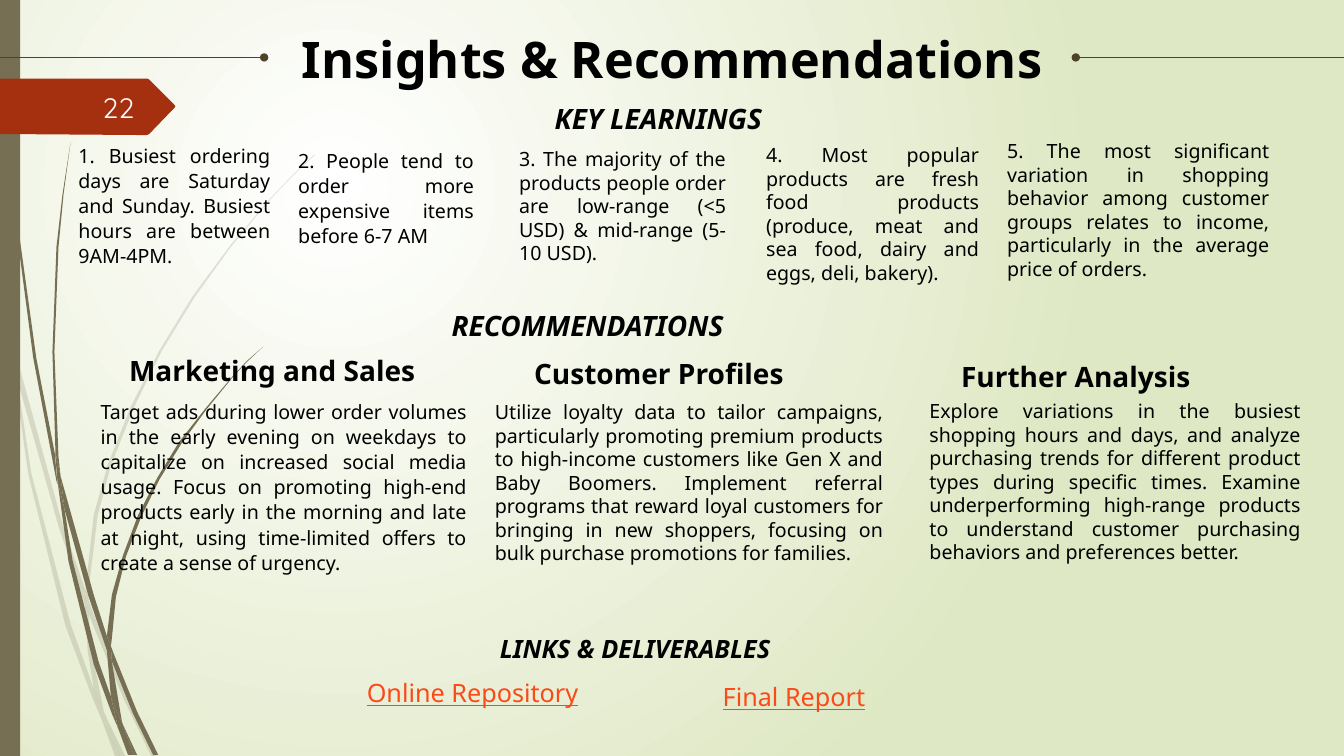
from lxml import etree
from pptx import Presentation
from pptx import util as u
from pptx.dml.color import RGBColor
from pptx.enum import shapes, text
from pptx.oxml import ns

OLIVE = RGBColor(0x76, 0x6F, 0x54)
RUST = RGBColor(0xA5, 0x30, 0x10)
BROWN = RGBColor(0x50, 0x42, 0x28)
BLACK = RGBColor(0, 0, 0)
NEAR_WHITE = RGBColor(0xFE, 0xFF, 0xFF)
WHITE = RGBColor(0xFF, 0xFF, 0xFF)
PALE_GREEN = RGBColor(0xDF, 0xE8, 0xC4)
ORANGE = RGBColor(0xFB, 0x4A, 0x18)

LEFT, CENTER, RIGHT, JUSTIFY = (text.PP_ALIGN.LEFT, text.PP_ALIGN.CENTER,
                                text.PP_ALIGN.RIGHT, text.PP_ALIGN.JUSTIFY)

PALE_GRASS = [
    [(.11, 3.5), (.09, 3.22), (0, 2.82), (0, 2.99), (.1, 3.44)],
    [(.58, 5.22), (.84, 5.99), (.85, 5.86), (.62, 5.2), (.14, 3.45), (.17, 3.76)],
    [(.92, 6.07), (.88, 5.96), (.88, 6.1), (1.23, 6.94), (1.5, 7.5), (1.55, 7.5), (1.27, 6.92)],
    [(1.19, 7.5), (1.24, 7.5), (1.05, 7.11)],
    [(.93, 6.83), (.7, 6.19), (.31, 4.69), (.17, 3.76), (.11, 3.5), (.28, 4.7),
     (.65, 6.21), (.92, 6.93), (1.01, 7.14), (.99, 7.07)],
    [(.84, 5.99), (.87, 6.46), (.93, 6.83), (.96, 6.92), (1.05, 7.11), (1.03, 7.06),
     (.91, 6.46), (.88, 6.1), (.88, 6.08)],
    [(.88, 5.84), (.97, 5.11), (1.1, 4.62), (1.33, 4.04), (1.6, 3.49), (1.93, 2.95),
     (2.29, 2.45), (2.68, 1.98), (2.9, 1.75), (3.12, 1.54), (3.12, 1.53), (2.89, 1.75),
     (2.68, 1.97), (2.28, 2.44), (1.91, 2.94), (1.58, 3.48), (1.3, 4.03), (1.07, 4.61),
     (.93, 5.11), (.85, 5.84), (.85, 5.86), (.88, 5.96)],
    [(1.01, 7.14), (1.14, 7.5), (1.19, 7.5)],
    [(.88, 6.08), (.88, 6.1), (.88, 5.96), (.85, 5.86), (.84, 5.99)],
    [(.96, 6.92), (.93, 6.83), (.99, 7.07), (1.01, 7.14), (1.19, 7.5), (1.05, 7.11)],
]

DARK_GRASS = [
    [(.07, 1.1), (.17, 2.33), (.33, 3.55), (.56, 4.77), (.57, 4.81), (.55, 4.57),
     (.55, 4.53), (.36, 3.55), (.19, 2.32), (.08, 1.09), (.05, .48), (.04, 0),
     (.03, 0), (.04, .48)],
    [(.88, 5.92), (1.06, 6.45), (1.06, 6.33), (1.06, 6.31), (.93, 5.9), (.6, 4.72), (.64, 5.05)],
    [(1.13, 6.49), (1.1, 6.41), (1.11, 6.56), (1.32, 7.08), (1.52, 7.49), (1.57, 7.49), (1.36, 7.06)],
    [(1.1, 6.91), (.98, 6.57), (.72, 5.56), (.64, 5.05), (.57, 4.77), (.68, 5.57),
     (.93, 6.59), (1.11, 7.08), (1.17, 7.22), (1.16, 7.17)],
    [(.6, 4.72), (.58, 4.53), (.54, 3.49), (.58, 2.45), (.63, 1.93), (.7, 1.41),
     (.62, 1.93), (.56, 2.45), (.52, 3.49), (.55, 4.49)],
    [(1.33, 7.49), (1.36, 7.49), (1.22, 7.19)],
    [(.57, 4.77), (.64, 5.05), (.6, 4.72), (.55, 4.49), (.55, 4.53)],
    [(1.11, 6.33), (1.15, 5.92), (1.25, 5.52), (1.4, 5.13), (1.58, 4.76), (1.8, 4.4),
     (2.05, 4.06), (2.31, 3.74), (2.45, 3.59), (2.61, 3.44), (2.45, 3.58), (2.31, 3.73),
     (2.04, 4.05), (1.78, 4.38), (1.56, 4.74), (1.37, 5.11), (1.22, 5.51), (1.11, 5.9),
     (1.06, 6.31), (1.1, 6.41)],
    [(1.17, 7.22), (1.27, 7.49), (1.31, 7.49)],
    [(1.06, 6.45), (1.1, 6.91), (1.16, 7.06), (1.22, 7.19), (1.21, 7.16), (1.11, 6.56), (1.09, 6.51)],
    [(1.06, 6.45), (1.09, 6.51), (1.11, 6.56), (1.1, 6.41), (1.06, 6.31), (1.06, 6.33)],
    [(1.16, 7.06), (1.1, 6.91), (1.16, 7.17), (1.17, 7.22), (1.3, 7.49), (1.33, 7.49), (1.22, 7.19)],
]

PAGE_FLAG = [(1.74, 1.06), (1.48, 1.33), (1.46, 1.34), (1.36, 1.34), (0, 1.33),
             (0, .78), (1.46, .78), (1.48, .79), (1.73, 1.04)]

AIRY = dict(spacing=1.07, after=8)

PARAGRAPHS = [
    ((.68, 1.36, 2.1, 1.34), AIRY,
     "1. Busiest ordering days are Saturday and Sunday. Busiest hours are between 9AM-4PM."),
    ((2.86, 1.41, 1.94, 1.09), AIRY,
     "2. People tend to order more expensive items before 6-7 AM"),
    ((5.05, 1.41, 2.25, 1.28), {},
     "3. The majority of the products people order are low-range (<5 USD) & mid-range (5-10 USD)."),
    ((7.5, 1.37, 2.31, 1.51), {},
     "4. Most popular products are fresh food products (produce, meat and sea food, dairy and eggs, "
     "deli, bakery)."),
    ((9.89, 1.33, 2.8, 1.51), {},
     "5. The most significant variation in shopping behavior among customer groups relates to income, "
     "particularly in the average price of orders."),
    ((.9, 3.9, 3.83, 2.46), AIRY,
     "Target ads during lower order volumes in the early evening on weekdays to capitalize on increased "
     "social media usage. Focus on promoting high-end products early in the morning and late at night, "
     "using time-limited offers to create a sense of urgency."),
    ((4.81, 3.92, 4.05, 2.22), {},
     "Utilize loyalty data to tailor campaigns, particularly promoting premium products to high-income "
     "customers like Gen X and Baby Boomers. Implement referral programs that reward loyal customers for "
     "bringing in new shoppers, focusing on bulk purchase promotions for families."),
    ((9.12, 3.91, 3.88, 2.22), {},
     "Explore variations in the busiest shopping hours and days, and analyze purchasing trends for "
     "different product types during specific times. Examine underperforming high-range products to "
     "understand customer purchasing behaviors and preferences better."),
]

SECTIONS = [
    ("KEY LEARNINGS", (3.19, .96, 6.68, .44), 20, CENTER),
    ("RECOMMENDATIONS", (4.38, 3.01, 6.68, .44), 20, LEFT),
    ("LINKS & DELIVERABLES", (4.86, 6.23, 3.32, .4), 18, LEFT),
]

TOPICS = [
    ("Marketing and Sales", (.8, 3.51, 3.8, .34)),
    ("Customer Profiles", (4.68, 3.54, 3.71, .34)),
    ("Further Analysis", (9.17, 3.57, 3, .34)),
]

DELIVERABLES = [
    ("Online Repository", (3.54, 6.67, 2.64, .4)),
    ("Final Report", (7.07, 6.71, 1.97, .4)),
]


def write(holder, words, size=14, color=BLACK, font="Noto Sans", bold=False, italic=False,
          underline=False, align=LEFT, anchor=text.MSO_ANCHOR.TOP, inset=None,
          spacing=None, after=None, grow=True):
    frame = holder.text_frame
    frame.word_wrap = True
    frame.auto_size = text.MSO_AUTO_SIZE.SHAPE_TO_FIT_TEXT if grow else text.MSO_AUTO_SIZE.NONE
    frame.vertical_anchor = anchor
    if inset is not None:
        frame.margin_left = frame.margin_right = u.Inches(inset)
        frame.margin_top = frame.margin_bottom = u.Inches(inset)
    paragraph = frame.paragraphs[0]
    paragraph.alignment = align
    if spacing:
        paragraph.line_spacing = spacing
    if after:
        paragraph.space_after = u.Pt(after)
    run = paragraph.add_run()
    run.text = words
    run.font.size, run.font.name = u.Pt(size), font
    run.font.bold, run.font.italic, run.font.underline = bold, italic, underline
    run.font.color.rgb = color


class InsightsSlide:
    def __init__(self, deck):
        self.slide = deck.slides.add_slide(deck.slide_layouts[5])
        self.shapes = self.slide.shapes

    def backdrop(self, center, edge):
        fill = self.slide.background.fill
        fill.gradient()
        for stop, color, position in zip(fill.gradient_stops, (center, edge), (0, 1)):
            stop.color.rgb = color
            stop.position = position
        linear = self.slide.element.xpath(".//a:gradFill/a:lin")[0]
        circle = etree.Element(ns.qn("a:path"), path="circle")
        etree.SubElement(circle, ns.qn("a:fillToRect"), l="50000", t="50000", r="100000", b="100000")
        linear.getparent().replace(linear, circle)

    def paint(self, shape, color, opacity=100):
        shape.shadow.inherit = False
        shape.fill.solid()
        shape.fill.fore_color.rgb = color
        shape.line.fill.background()
        if opacity < 100:
            rgb = shape.element.xpath("./p:spPr/a:solidFill/a:srgbClr")[0]
            etree.SubElement(rgb, ns.qn("a:alpha"), val=str(opacity * 1000))

    def outline(self, points, color, opacity=100, parent=None):
        corners = [(u.Inches(x), u.Inches(y)) for x, y in points]
        builder = (parent or self.shapes).build_freeform(*corners[0])
        builder.add_line_segments(corners[1:], close=True)
        self.paint(builder.convert_to_shape(), color, opacity)

    def grass(self, blades, opacity=100):
        tuft = self.shapes.add_group_shape().shapes
        for blade in blades:
            self.outline(blade, OLIVE, opacity, tuft)

    def bar(self, box, color):
        self.paint(self.shapes.add_shape(shapes.MSO_SHAPE.RECTANGLE, *map(u.Inches, box)), color)

    def rule(self, start, end, y, dot):
        rule = self.shapes.add_connector(shapes.MSO_CONNECTOR.STRAIGHT, u.Inches(start), u.Inches(y),
                                         u.Inches(end), u.Inches(y))
        rule.line.color.rgb = BROWN
        rule.line.width = u.Pt(.75)
        etree.SubElement(rule.line._get_or_add_ln(), ns.qn(dot), type="oval")
        etree.SubElement(rule.element.spPr, ns.qn("a:effectLst"))

    def title(self, words, box, **style):
        title = self.shapes.title
        title.left, title.top, title.width, title.height = map(u.Inches, box)
        write(title, words, **style)

    def label(self, words, box, **style):
        write(self.shapes.add_textbox(*map(u.Inches, box)), words, **style)


def main():
    deck = Presentation()
    deck.slide_width, deck.slide_height = u.Inches(13.33), u.Inches(7.5)
    page = InsightsSlide(deck)
    page.backdrop(WHITE, PALE_GREEN)
    page.grass(PALE_GRASS, opacity=20)
    page.grass(DARK_GRASS)
    page.bar((0, 0, .2, 7.5), OLIVE)
    page.outline(PAGE_FLAG, RUST)
    page.rule(10.67, 13.33, .57, "a:headEnd")
    page.rule(0, 2.62, .57, "a:tailEnd")
    page.title("Insights & Recommendations", (.25, .35, 12.83, .55), size=36, bold=True,
               align=CENTER, inset=0, spacing=.9)
    page.label("22", (.58, .86, .85, .4), size=20, color=NEAR_WHITE, font="Quicksand",
               align=RIGHT, anchor=text.MSO_ANCHOR.MIDDLE, grow=False)
    for words, box, size, align in SECTIONS:
        page.label(words, box, size=size, bold=True, italic=True, align=align)
    for words, box in TOPICS:
        page.label(words, box, size=20, bold=True, align=CENTER, inset=0)
    for box, style, words in PARAGRAPHS:
        page.label(words, box, align=JUSTIFY, **style)
    for words, box in DELIVERABLES:
        page.label(words, box, size=18, color=ORANGE, underline=True)
    deck.save("out.pptx")


if __name__ == "__main__":
    main()
